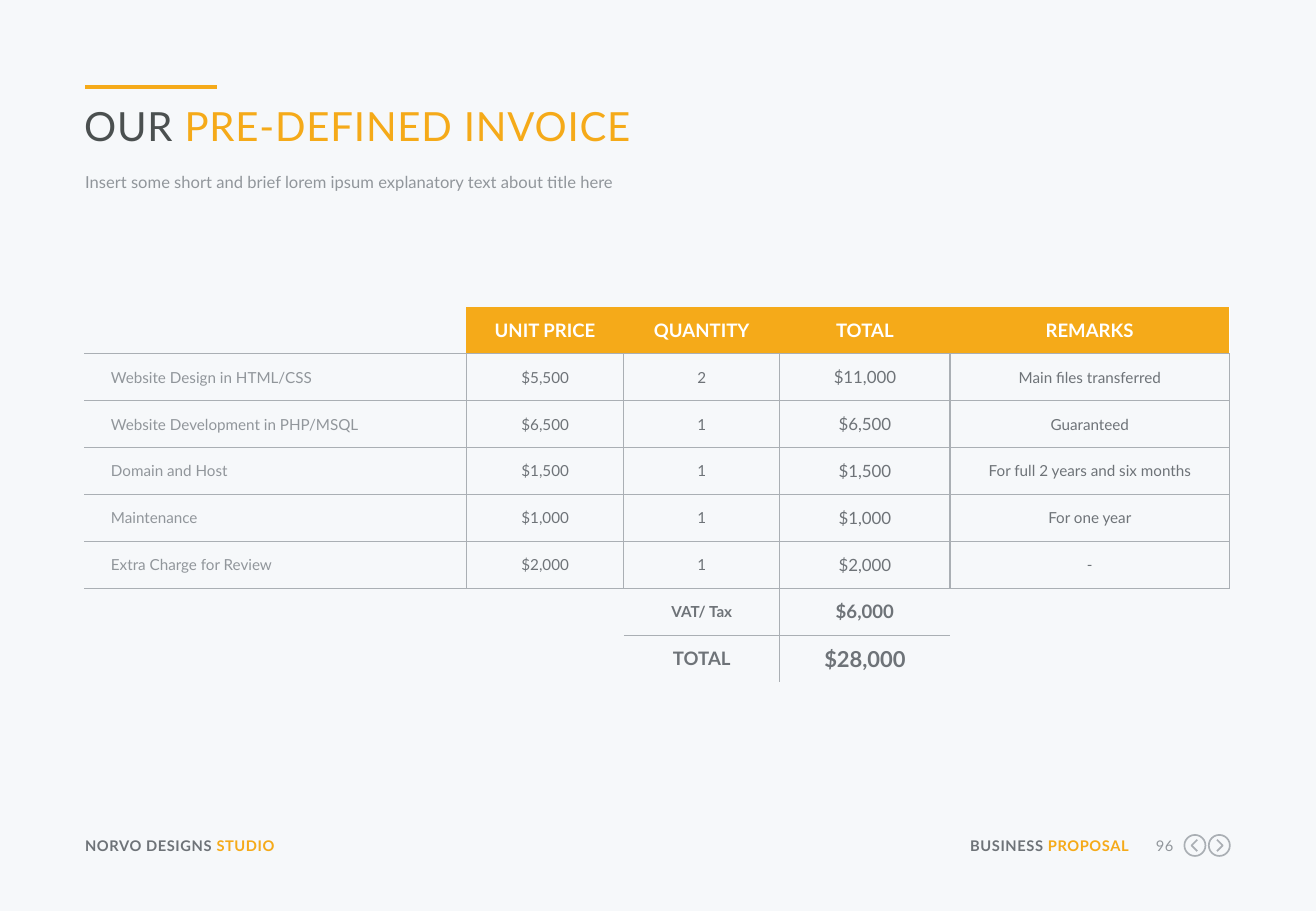
import pptx
import pptx.util
import pptx.dml.color
import pptx.enum.shapes
import pptx.enum.text
import pptx.oxml
import pptx.oxml.ns
from pptx.util import Cm

HUES = {
    "back": "F6F8FA", "gold": "F5AA19", "dark": "4B5050", "slate": "6E7378",
    "mist": "91969B", "rule": "AAAFB4", "white": "FFFFFF",
}
ALIGN = pptx.enum.text.PP_ALIGN
HEADS = ["", "UNIT PRICE", "QUANTITY", "TOTAL", "REMARKS"]
ITEMS = [
    ["Website Design in HTML/CSS", "$5,500", "2", "$11,000", "Main files transferred"],
    ["Website Development in PHP/MSQL", "$6,500", "1", "$6,500", "Guaranteed"],
    ["Domain and Host", "$1,500", "1", "$1,500", "For full 2 years and six months"],
    ["Maintenance", "$1,000", "1", "$1,000", "For one year"],
    ["Extra Charge for Review", "$2,000", "1", "$2,000", "-"],
]
SUMS = [["", "", "VAT/ Tax", "$6,000", ""], ["", "", "TOTAL", "$28,000", ""]]
SIZES = [[11] * 5] + [[9, 9, 9, 10, 9]] * len(ITEMS) + [[9, 9, 9, 11, 9], [9, 9, 11, 13, 9]]
SIDES = (
    [["RB"] + ["LRB"] * 4]
    + [["RTB"] + ["LRTB"] * 4] * len(ITEMS)
    + [["T", "T", "RTB", "LTB", "T"], ["", "", "RT", "LT", ""]]
)
WIDTHS = [7.99, 3.29, 3.26, 3.56, 5.84]
ROW = 0.98


def tint(name):
    """Return the named colour."""
    return pptx.dml.color.RGBColor.from_string(HUES[name])


def style(font, size, hue, bold=False):
    """Format a font."""
    font.name = "Lato"
    font.size = pptx.util.Pt(size)
    font.bold = bold
    font.color.rgb = tint(hue)


def add_text(slide, box, parts, size, bold=False, gap=0, align=ALIGN.LEFT, grow=False):
    """Add one line of text made of coloured parts."""
    frame = slide.shapes.add_textbox(*map(Cm, box)).text_frame
    frame.margin_left = frame.margin_right = frame.margin_top = frame.margin_bottom = 0
    frame.word_wrap = True
    if grow:
        frame.auto_size = pptx.enum.text.MSO_AUTO_SIZE.SHAPE_TO_FIT_TEXT
    para = frame.paragraphs[0]
    para.alignment = align
    for words, hue in parts:
        run = para.add_run()
        run.text = words
        style(run.font, size, hue, bold)
        if gap:
            run.font._element.set("spc", str(gap))
    return para


def add_rule(slide, left, top, width):
    """Add the gold rule above the title."""
    kind = pptx.enum.shapes.MSO_CONNECTOR.STRAIGHT
    rule = slide.shapes.add_connector(kind, Cm(left), Cm(top), Cm(left + width), Cm(top))
    rule.line.color.rgb = tint("gold")
    rule.line.width = pptx.util.Pt(2.25)
    pptx.oxml.ns.qn("a:effectLst")
    rule._element.spPr.append(pptx.oxml.parse_xml(
        f'<a:effectLst {pptx.oxml.ns.nsdecls("a")}/>'))


def outline(shape):
    """Leave only a thin grey outline on a shape."""
    shape.shadow.inherit = False
    shape.fill.background()
    shape.line.color.rgb = tint("rule")
    shape.line.width = pptx.util.Pt(1)


def add_arrow(slide, mid, level, way):
    """Add a ringed chevron that points left (-1) or right (1)."""
    half = 0.22
    oval = pptx.enum.shapes.MSO_SHAPE.OVAL
    outline(slide.shapes.add_shape(
        oval, Cm(mid - half), Cm(level - half), Cm(2 * half), Cm(2 * half)))
    back, tip = Cm(mid - 0.05 * way), Cm(mid + 0.07 * way)
    pen = slide.shapes.build_freeform(back, Cm(level - 0.12))
    pen.add_line_segments([(tip, Cm(level)), (back, Cm(level + 0.12))], close=False)
    outline(pen.convert_to_shape())


def set_edge(cell, side, hue):
    """Draw one border of a cell, or hide it when no hue is given."""
    fill = "<a:noFill/>"
    if hue:
        fill = f'<a:solidFill><a:srgbClr val="{HUES[hue]}"/></a:solidFill>'
    cell._tc.get_or_add_tcPr().append(pptx.oxml.parse_xml(
        f'<a:ln{side} {pptx.oxml.ns.nsdecls("a")} w="9525">{fill}</a:ln{side}>'))


def edge_hue(row, col, side):
    """Choose the colour of a cell border."""
    if side not in SIDES[row][col]:
        return None
    if row == 0 and side in "LR":
        return "white" if (col, side) == (4, "R") else "gold"
    return "rule"


def fill_cell(cell, row, col, words):
    """Write and format one cell of the invoice."""
    head, item = row == 0, 0 < row <= len(ITEMS)
    for side in "LRTB":
        set_edge(cell, side, edge_hue(row, col, side))
    if head and col:
        cell.fill.solid()
        cell.fill.fore_color.rgb = tint("gold")
    else:
        cell.fill.background()
    cell.margin_left = Cm(0 if col else 0.56)
    cell.margin_right = cell.margin_top = cell.margin_bottom = 0
    cell.vertical_anchor = pptx.enum.text.MSO_ANCHOR.MIDDLE
    para = cell.text_frame.paragraphs[0]
    para.text = words
    para.alignment = ALIGN.CENTER if col else ALIGN.LEFT
    hue = "white" if head else "slate" if col else "mist"
    style(para.font, SIZES[row][col], hue, not item)
    for run in para.runs:
        style(run.font, SIZES[row][col], hue, not item)


def add_invoice(slide, left, top):
    """Add the invoice table."""
    rows = [HEADS] + ITEMS + SUMS
    table = slide.shapes.add_table(
        len(rows), len(HEADS), Cm(left), Cm(top),
        Cm(sum(WIDTHS)), Cm(ROW * len(rows))).table
    table.first_row = table.horz_banding = False
    for col, width in enumerate(WIDTHS):
        table.columns[col].width = Cm(width)
    for row, line in enumerate(rows):
        table.rows[row].height = Cm(ROW)
        for col, words in enumerate(line):
            fill_cell(table.cell(row, col), row, col, words)
    last = len(rows) - 1
    table.cell(last - 1, 0).merge(table.cell(last, 1))
    table.cell(last - 1, 4).merge(table.cell(last, 4))


def main():
    """Build the invoice slide."""
    deck = pptx.Presentation()
    deck.slide_width, deck.slide_height = Cm(27.51), Cm(19.05)
    slide = deck.slides.add_slide(deck.slide_layouts[6])
    slide.background.fill.solid()
    slide.background.fill.fore_color.rgb = tint("back")

    add_rule(slide, 1.78, 1.82, 2.76)
    add_text(slide, (1.76, 2.13, 23.93, 1.04),
             [("OUR ", "dark"), ("PRE-DEFINED INVOICE", "gold")], 23.8, gap=50)
    note = "Insert some short and brief lorem ipsum explanatory text about title here"
    para = add_text(slide, (1.78, 3.56, 23.93, 0.53), [(note, "mist")], 9.8)
    para.line_spacing = pptx.util.Pt(13)
    add_invoice(slide, 1.76, 6.42)

    foot = {"size": 8.7, "gap": 30, "grow": True}
    add_text(slide, (1.78, 17.5, 5.36, 0.38),
             [("NORVO DESIGNS ", "slate"), ("STUDIO", "gold")], bold=True, **foot)
    add_text(slide, (20.12, 17.5, 3.48, 0.38),
             [("BUSINESS ", "slate"), ("PROPOSAL", "gold")],
             bold=True, align=ALIGN.RIGHT, **foot)
    add_text(slide, (23.9, 17.5, 0.63, 0.38), [("96", "mist")], align=ALIGN.RIGHT, **foot)
    add_arrow(slide, 24.98, 17.68, -1)
    add_arrow(slide, 25.49, 17.68, 1)
    deck.save("out.pptx")


if __name__ == "__main__":
    main()
